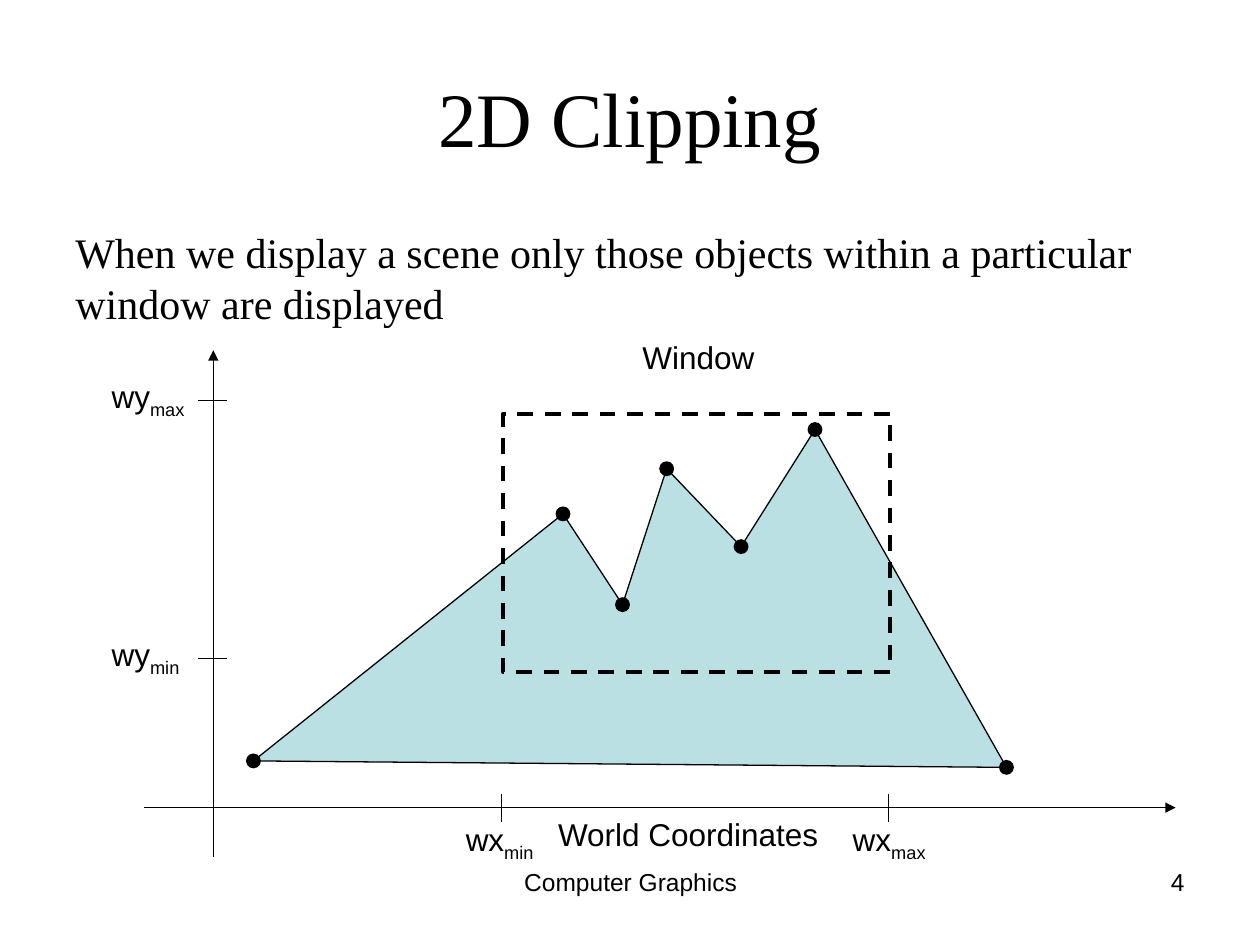
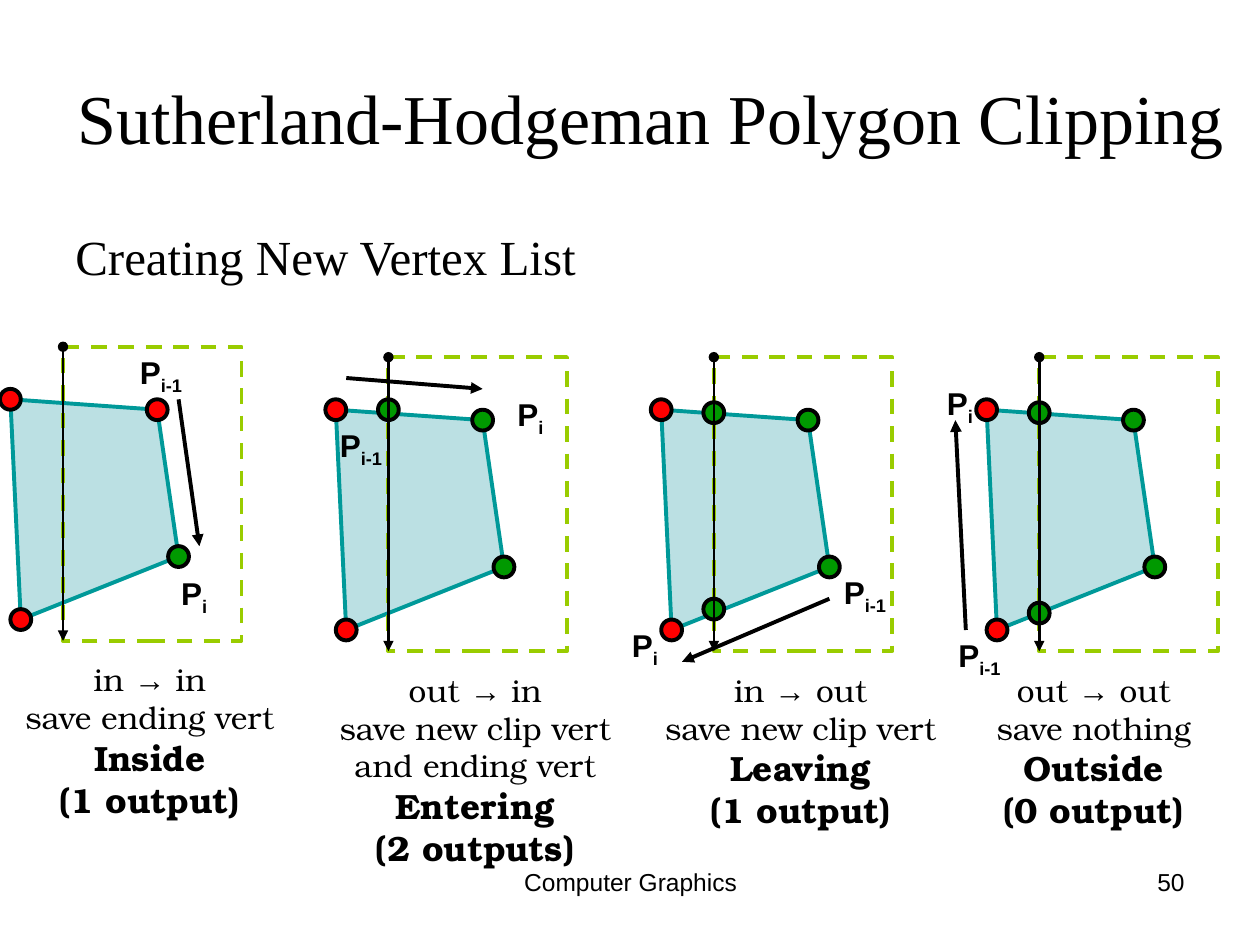
from dataclasses import dataclass

from lxml.etree import SubElement
from pptx import Presentation
from pptx.dml.color import RGBColor
from pptx.enum.dml import MSO_LINE
from pptx.enum.shapes import MSO_CONNECTOR, MSO_SHAPE
from pptx.enum.text import MSO_ANCHOR, MSO_AUTO_SIZE, PP_ALIGN
from pptx.oxml.ns import qn
from pptx.util import Cm, Pt

BLACK = RGBColor(0x00, 0x00, 0x00)
PALE_TEAL = RGBColor(0xBB, 0xE0, 0xE3)
TEAL = RGBColor(0x00, 0x99, 0x99)
LIME = RGBColor(0x99, 0xCC, 0x00)
GREEN = RGBColor(0x00, 0x99, 0x00)
RED = RGBColor(0xFF, 0x00, 0x00)

SERIF = "Times New Roman"
SANS = "Arial"
FOOTER = {"name": SANS, "size": Pt(14)}
LABEL = {"name": SANS, "size": Pt(18)}
BOLD_LABEL = {**LABEL, "bold": True}
CAPTION = {"name": "TeX Gyre Bonum", "size": Pt(18)}
CAPTION_HEADING = {**CAPTION, "size": Pt(20), "bold": True}

SCENE = [(5.11, 15.34), (11.35, 10.36), (12.55, 12.19), (13.44, 9.45),
         (14.94, 11.02), (16.43, 8.66), (20.29, 15.47)]
QUAD = [(-0.85, 5.5), (-1.06, 1.06), (1.9, 1.27), (2.33, 4.23)]
CLIP_WIDTH, CLIP_HEIGHT = 3.6, 5.93
PANEL_LEFT, PANEL_PITCH = 1.27, 6.56
CAPTION_WIDTH = 6.5


@dataclass
class ClipCase:
    """One clipping case, with positions measured from the top of its clip edge."""
    top: float
    transition: tuple
    actions: list
    heading: list
    vertex_colors: list
    crossings: list
    arrow: tuple
    previous_label: tuple
    current_label: tuple
    caption_center: float = 1.75


CASES = [
    ClipCase(6.99, ("in", "in"), ["save ending vert"], ["Inside", "(1 output)"],
             [RED, RED, RED, GREEN], [],
             ((2.33, 1.06), (2.75, 4.02)), (1.3, 0), (2.13, 4.45)),
    ClipCase(7.2, ("out", "in"), ["save new clip vert", "and ending vert"],
             ["Entering", "(2 outputs)"], [RED, RED, GREEN, GREEN], [1.06],
             ((-0.85, 0.42), (1.9, 0.64)), (-1.23, 1.27), (2.35, 0.64)),
    ClipCase(7.2, ("in", "out"), ["save new clip vert"], ["Leaving", "(1 output)"],
             [RED, RED, GREEN, GREEN], [1.12, 5.08],
             ((2.33, 4.87), (-0.64, 6.14)), (2.37, 4.23), (-1.9, 5.3)),
    ClipCase(7.2, ("out", "out"), ["save nothing"], ["Outside", "(0 output)"],
             [RED, RED, GREEN, GREEN], [1.12, 5.16],
             ((-1.48, 5.5), (-1.69, 1.27)), (-1.88, 5.5), (-2.11, 0.42), 1.1),
]


def set_values(target, values):
    """Set each named attribute of the target."""
    for name, value in values.items():
        setattr(target, name, value)


def add_run(paragraph, text, font_values, baseline=None):
    """Append a black run, optionally shifted off the baseline."""
    run = paragraph.add_run()
    run.text = text
    set_values(run.font, font_values)
    run.font.color.rgb = BLACK
    if baseline is not None:
        run.font._element.set("baseline", str(baseline))


def add_text(slide, box, paragraphs, align=PP_ALIGN.LEFT):
    """Add a text box whose paragraphs are lists of run arguments."""
    shape = slide.shapes.add_textbox(*map(Cm, box))
    frame = shape.text_frame
    frame.word_wrap = True
    for index, runs in enumerate(paragraphs):
        paragraph = frame.add_paragraph() if index else frame.paragraphs[0]
        paragraph.alignment = align
        for run in runs:
            add_run(paragraph, *run)
    return shape


def add_subscript_label(slide, left, top, width, text, subscript, font_values):
    """Add a label with a subscript."""
    runs = [(text, font_values), (subscript, font_values, -25000)]
    add_text(slide, (left, top, width, 1.12), [runs])


def style_shape(shape, fill=None, line=None, width=0.75, dash=None):
    """Give a shape its fill and outline without a shadow."""
    shape.shadow.inherit = False
    for format_part, color in ((shape.fill, fill), (shape.line.fill, line)):
        if color is None:
            format_part.background()
        else:
            format_part.solid()
            format_part.fore_color.rgb = color
    if line is not None:
        set_values(shape.line, {"width": Pt(width), "dash_style": dash})


def add_rectangle(slide, box, color):
    """Add a dashed, unfilled rectangle."""
    shape = slide.shapes.add_shape(MSO_SHAPE.RECTANGLE, *map(Cm, box))
    style_shape(shape, line=color, width=2.25, dash=MSO_LINE.DASH)


def add_dot(slide, center, diameter, fill, line=None):
    """Add a circle around a center point."""
    left, top = (value - diameter / 2 for value in center)
    shape = slide.shapes.add_shape(
        MSO_SHAPE.OVAL, Cm(left), Cm(top), Cm(diameter), Cm(diameter))
    style_shape(shape, fill, line, 2.25)


def add_polygon(slide, points, line, width):
    """Add a closed pale polygon."""
    corners = [(Cm(x), Cm(y)) for x, y in points]
    builder = slide.shapes.build_freeform(*corners[0])
    builder.add_line_segments(corners[1:], close=True)
    style_shape(builder.convert_to_shape(), PALE_TEAL, line, width)


def add_line(slide, start, end, width=0.75, head=None, tail=None):
    """Add a straight black line with optional end marks."""
    connector = slide.shapes.add_connector(
        MSO_CONNECTOR.STRAIGHT, *map(Cm, (*start, *end)))
    connector.line.color.rgb = BLACK
    connector.line.width = Pt(width)
    line_element = connector.line._get_or_add_ln()
    for tag, mark in (("a:headEnd", head), ("a:tailEnd", tail)):
        if mark:
            SubElement(line_element, qn(tag)).set("type", mark)
    SubElement(connector._element.spPr, qn("a:effectLst"))


def add_base_slide(presentation, title, title_size, title_width, body, body_size, number):
    """Add a slide with its title, lead text and footer."""
    slide = presentation.slides.add_slide(presentation.slide_layouts[5])
    placeholder = slide.shapes.title
    set_values(placeholder, {"left": Cm(1.27), "top": Cm(0.76),
                             "width": Cm(title_width), "height": Cm(3.18)})
    frame = placeholder.text_frame
    set_values(frame, {"word_wrap": True, "auto_size": MSO_AUTO_SIZE.NONE,
                       "vertical_anchor": MSO_ANCHOR.MIDDLE})
    frame.paragraphs[0].alignment = PP_ALIGN.CENTER
    add_run(frame.paragraphs[0], title, {"name": SERIF, "size": Pt(title_size)})
    lead = add_text(slide, (1.27, 4.45, 22.86, 3),
                    [[(body, {"name": SERIF, "size": Pt(body_size)})]])
    lead.text_frame.paragraphs[0].space_before = Pt(body_size / 4)
    add_text(slide, (8.69, 17.35, 8.05, 1.32), [[("Computer Graphics", FOOTER)]],
             PP_ALIGN.CENTER)
    add_text(slide, (18.21, 17.35, 5.92, 1.32), [[(number, FOOTER)]], PP_ALIGN.RIGHT)
    return slide


def add_scene(slide):
    """Draw the scene polygon, its axes and the clipping window."""
    axis_x, axis_y = 4.3, 16.28
    add_polygon(slide, SCENE, BLACK, 0.75)
    add_line(slide, (2.9, axis_y), (23.7, axis_y), tail="triangle")
    add_line(slide, (axis_x, 17.27), (axis_x, 7.06), tail="triangle")
    add_rectangle(slide, (10.14, 8.34, 7.8, 5.21), BLACK)
    for y, bound in ((8.08, "max"), (13.28, "min")):
        add_line(slide, (axis_x - 0.3, y), (axis_x + 0.28, y))
        add_subscript_label(slide, 2, y - 0.61, 2.3, "wy", bound, LABEL)
    for x, bound in ((10.11, "min"), (17.91, "max")):
        add_line(slide, (x, axis_y - 0.28), (x, axis_y + 0.3))
        add_subscript_label(slide, x - 0.97, 16.41, 2.3, "wx", bound, LABEL)
    for vertex in SCENE:
        add_dot(slide, vertex, 0.3, BLACK)
    add_text(slide, (12.7, 6.68, 3.2, 1.02), [[("Window", LABEL)]])
    add_text(slide, (11, 16.31, 6.2, 1.02), [[("World Coordinates", LABEL)]])


def add_clip_case(slide, left, case):
    """Draw one clipping case with its caption."""
    def place(point):
        """Move a point from the case to the slide."""
        return left + point[0], case.top + point[1]

    corners = [place(point) for point in QUAD]
    add_polygon(slide, corners, TEAL, 2.25)
    add_rectangle(slide, (left, case.top, CLIP_WIDTH, CLIP_HEIGHT), LIME)
    crossings = [(place((0, y)), GREEN) for y in case.crossings]
    for center, color in [*zip(corners, case.vertex_colors), *crossings]:
        add_dot(slide, center, 0.42, color, BLACK)
    add_line(slide, *map(place, case.arrow), 2.25, tail="triangle")

    source, target = case.transition
    paragraphs = [[(f"{source} ", CAPTION), ("→", LABEL), (f" {target}", CAPTION)]]
    paragraphs += [[(text, CAPTION)] for text in case.actions]
    paragraphs += [[(text, CAPTION_HEADING)] for text in case.heading]
    caption_left = case.caption_center - CAPTION_WIDTH / 2
    add_text(slide, (*place((caption_left, 6.2)), CAPTION_WIDTH, 3.5),
             paragraphs, PP_ALIGN.CENTER)
    for position, width, subscript in ((case.previous_label, 1.7, "i-1"),
                                       (case.current_label, 1.3, "i")):
        add_subscript_label(slide, *place(position), width, "P", subscript, BOLD_LABEL)
    add_line(slide, place((0, 0)), place((0, CLIP_HEIGHT)), 1.5, "oval", "triangle")


def main():
    """Build and save the presentation."""
    presentation = Presentation()
    set_values(presentation, {"slide_width": Cm(25.4), "slide_height": Cm(19.05)})
    slide = add_base_slide(
        presentation, "2D Clipping", 44, 22.86,
        "When we display a scene only those objects within a particular "
        "window are displayed", 24, "4")
    add_scene(slide)
    slide = add_base_slide(
        presentation, "Sutherland-Hodgeman Polygon Clipping", 40, 23.7,
        "Creating New Vertex List", 28, "50")
    for index, case in enumerate(CASES):
        add_clip_case(slide, PANEL_LEFT + index * PANEL_PITCH, case)
    presentation.save("out.pptx")


if __name__ == "__main__":
    main()
